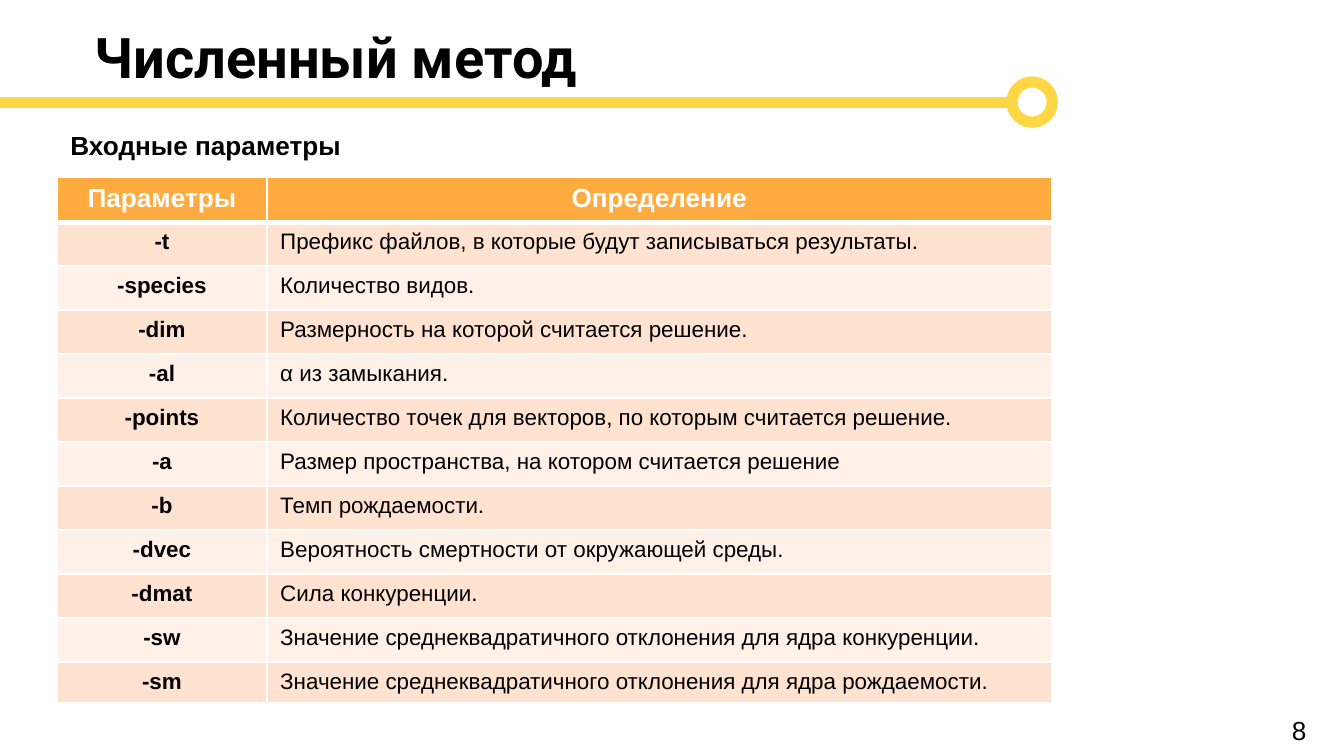
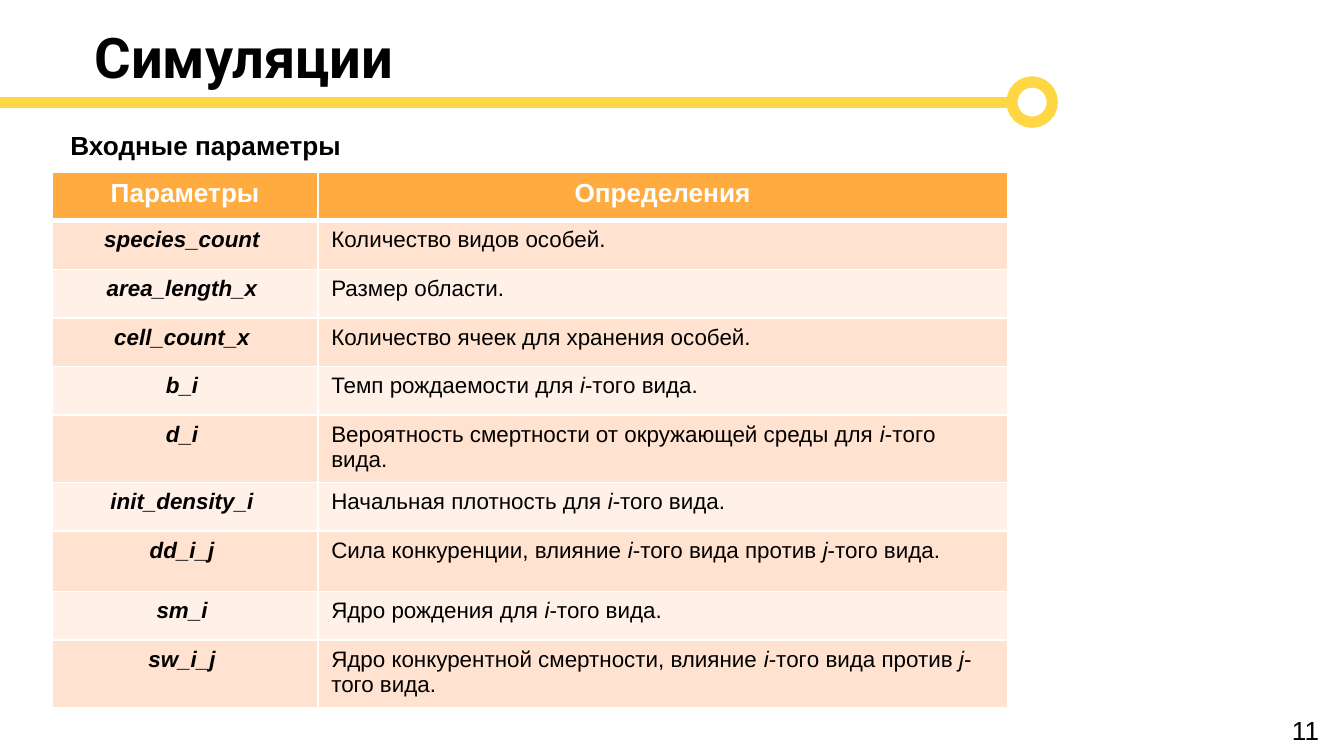
"""Build two slides that list the input parameters of a solver and a simulator."""
from lxml import etree
from pptx import Presentation, util as u
from pptx.dml import color
from pptx.enum import shapes, text
from pptx.oxml import ns

WIDTH = u.Inches(10)
HEIGHT = u.Emu(WIDTH * 9 // 16)
COLORS = {
    "yellow": "FFD745",
    "header": "FFAB40",
    "band_dark": "FFE2CF",
    "band_light": "FFF1E8",
    "black": "000000",
    "white": "FFFFFF",
}
SOLVER_ROWS = [
    ("-t", "Префикс файлов, в которые будут записываться результаты."),
    ("-species", "Количество видов."),
    ("-dim", "Размерность на которой считается решение."),
    ("-al", "α из замыкания."),
    ("-points", "Количество точек для векторов, по которым считается решение."),
    ("-a", "Размер пространства, на котором считается решение"),
    ("-b", "Темп рождаемости."),
    ("-dvec", "Вероятность смертности от окружающей среды."),
    ("-dmat", "Сила конкуренции."),
    ("-sw", "Значение среднеквадратичного отклонения для ядра конкуренции."),
    ("-sm", "Значение среднеквадратичного отклонения для ядра рождаемости."),
]
SIMULATION_ROWS = [
    ("*species_count *", "Количество видов особей."),
    ("*area_length_x *", "Размер области."),
    ("*cell_count_x *", "Количество ячеек для хранения особей."),
    ("*b_i *", "Темп рождаемости для *i*-тогo видa."),
    ("*d_i *", "Вероятность смертности от окружающей среды для *i*-тoгo видa."),
    ("*init_density_i *", "Начальная плотность для *i*-того вида."),
    ("*dd_i_j *", "Сила конкуренции, влияние *i*-того вида против *j*-того вида."),
    ("*sm_i *", "Ядро рождения для *i*-того видa."),
    ("*sw_i_j *", "Ядро конкурентной смертности, влияние *i*-тогo видa против *j*-того видa."),
]


def rgb(name):
    """Return the named colour."""
    return color.RGBColor.from_string(COLORS[name])


def across(percent):
    """Turn a percentage of the slide's width into a length."""
    return u.Emu(round(WIDTH * percent / 100))


def down(percent):
    """Turn a percentage of the slide's height into a length."""
    return u.Emu(round(HEIGHT * percent / 100))


def place(left, top, width, height):
    """Turn percentages of the slide into a position and size."""
    return across(left), down(top), across(width), down(height)


def write(frame, content, size=14, font="Arial", fill="black", bold=False, align=text.PP_ALIGN.LEFT):
    """Write one paragraph, with the parts between asterisks in italics."""
    frame.word_wrap = True
    paragraph = frame.paragraphs[0]
    paragraph.alignment = align
    for index, part in enumerate(content.split("*")):
        if part:
            run = paragraph.add_run()
            run.text = part
            run.font.size = u.Pt(size)
            run.font.name = font
            run.font.bold = bold
            run.font.italic = index % 2 == 1
            run.font.color.rgb = rgb(fill)


def add_text(slide, box, content, **style):
    """Add a text box."""
    write(slide.shapes.add_textbox(*place(*box)).text_frame, content, **style)


def add_title_rule(slide):
    """Draw the yellow rule that ends in a ring."""
    rule = slide.shapes.add_connector(
        shapes.MSO_CONNECTOR.STRAIGHT, across(-0.3), down(13.51), across(75.3), down(13.51))
    etree.SubElement(rule.element.spPr, ns.qn("a:effectLst"))
    ring = slide.shapes.add_shape(shapes.MSO_SHAPE.OVAL, *place(75.3, 10.84, 3, 5.33))
    ring.shadow.inherit = False
    ring.fill.background()
    for shape in (rule, ring):
        shape.line.color.rgb = rgb("yellow")
        shape.line.width = u.Pt(6)


def set_borders(cell, top=1, bottom=1):
    """Give a cell white borders of the given widths in points."""
    properties = cell._tc.get_or_add_tcPr()
    for side, points in (("L", 1), ("R", 1), ("T", top), ("B", bottom)):
        border = etree.SubElement(properties, ns.qn(f"a:ln{side}"), w=str(u.Pt(points)))
        fill = etree.SubElement(border, ns.qn("a:solidFill"))
        etree.SubElement(fill, ns.qn("a:srgbClr"), val=COLORS["white"])


def fill_row(table, index, row):
    """Write and colour one row of the table."""
    is_header = index == 0
    band = "header" if is_header else ("band_light", "band_dark")[index % 2]
    for column, content in enumerate(row):
        cell = table.cell(index, column)
        set_borders(cell, top=3 if index == 1 else 1, bottom=3 if is_header else 1)
        cell.fill.solid()
        cell.fill.fore_color.rgb = rgb(band)
        is_centred = is_header or column == 0
        write(cell.text_frame, content, size=14 if is_header else 12,
              fill="white" if is_header else "black", bold=is_centred,
              align=text.PP_ALIGN.CENTER if is_centred else text.PP_ALIGN.LEFT)


def add_parameter_table(slide, box, name_width, rows, special_heights):
    """Add a table whose rows share the height left by the special ones."""
    width, height = box[2:]
    table = slide.shapes.add_table(len(rows), 2, *place(*box)).table
    table.columns[0].width = across(name_width)
    table.columns[1].width = across(width - name_width)
    common = (height - sum(special_heights.values())) / (len(rows) - len(special_heights))
    for index, row in enumerate(rows):
        table.rows[index].height = down(special_heights.get(index, common))
        fill_row(table, index, row)


def add_parameter_slide(presentation, title, number):
    """Add a slide with the shared rule, number and headings."""
    slide = presentation.slides.add_slide(presentation.slide_layouts[6])
    add_title_rule(slide)
    add_text(slide, (95.15, 93.56, 5.3, 6.04), str(number))
    add_text(slide, (6.05, 2.13, 73.9, 7.11), title, size=30, font="Roboto", bold=True)
    add_text(slide, (4.25, 16.18, 60.2, 6.04), "Входные параметры", bold=True)
    return slide


def main():
    """Build and save the presentation."""
    presentation = Presentation()
    presentation.slide_width, presentation.slide_height = WIDTH, HEIGHT
    solver = add_parameter_slide(presentation, "Численный метод", 8)
    add_parameter_table(solver, (4.25, 23.47, 74, 69.33), 15.6,
                        [("Параметры", "Определение"), *SOLVER_ROWS], {11: 5.33})
    simulation = add_parameter_slide(presentation, "Симуляции", 11)
    add_parameter_table(simulation, (3.9, 22.76, 71.05, 70.84), 19.75,
                        [("Параметры", "Определения"), *SIMULATION_ROWS],
                        {5: 8.89, 7: 8, 9: 8.89})
    presentation.save("out.pptx")


if __name__ == "__main__":
    main()
